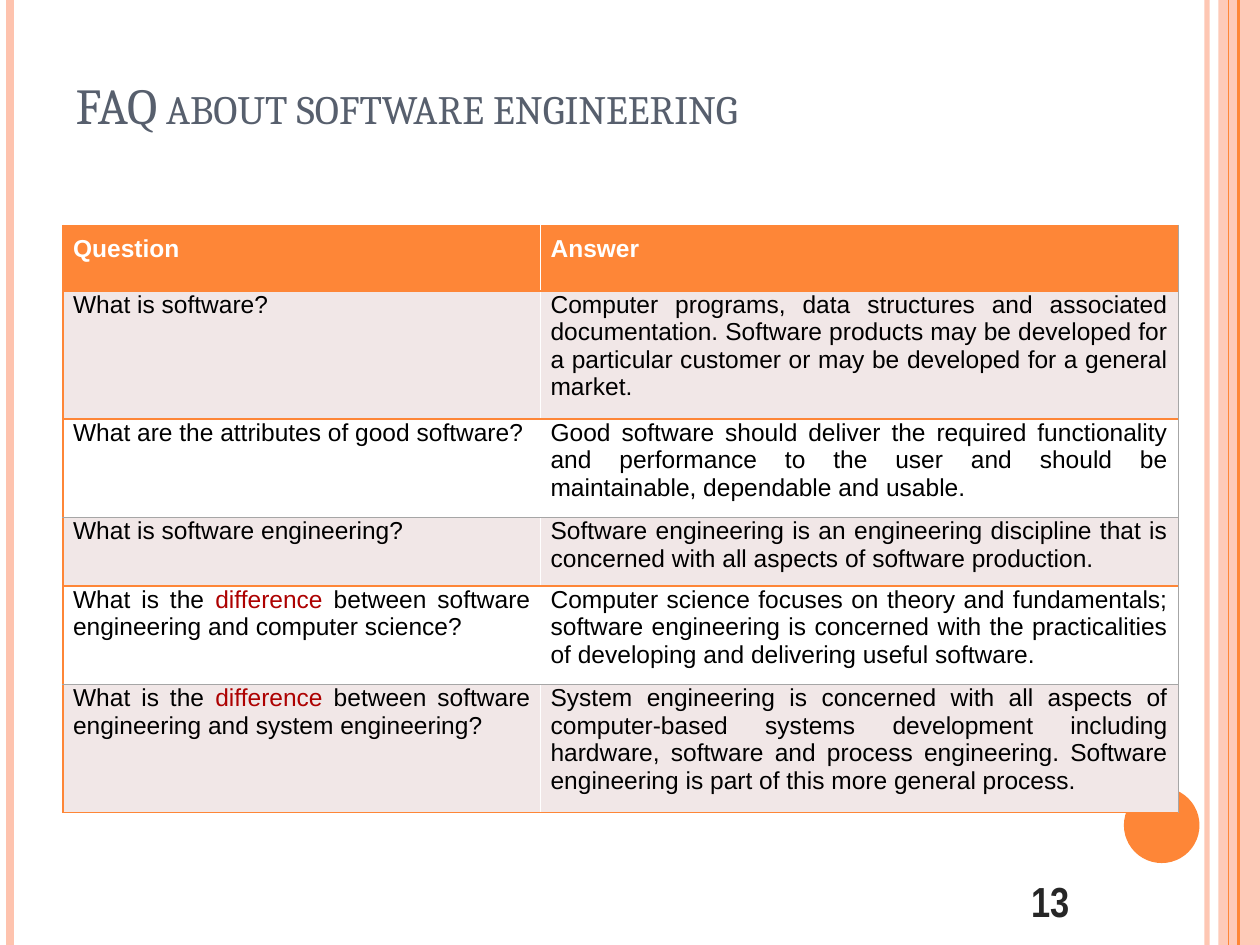
from lxml import etree
from pptx import Presentation
from pptx.dml.color import RGBColor
from pptx.enum.shapes import MSO_CONNECTOR, MSO_SHAPE
from pptx.enum.text import MSO_ANCHOR, PP_ALIGN
from pptx.oxml.ns import qn
from pptx.util import Inches, Pt

STRAIGHT = MSO_CONNECTOR.STRAIGHT
RECTANGLE, OVAL = MSO_SHAPE.RECTANGLE, MSO_SHAPE.OVAL
TOP, MIDDLE, BOTTOM = MSO_ANCHOR.TOP, MSO_ANCHOR.MIDDLE, MSO_ANCHOR.BOTTOM
CENTER, JUSTIFY = PP_ALIGN.CENTER, PP_ALIGN.JUSTIFY

COLORS = {
    "orange": "FE8637", "peach": "FEC3AE", "title": "575F6D", "number": "262626",
    "white": "FFFFFF", "band": "F1E7E7", "black": "000000", "red": "AD0101",
    "grey": "A6A6A6",
}

# Content
TITLE = "FAQ about software engineering"
PAGE_NUMBER = "13"
HIGHLIGHT = "difference"
FAQ = [
    ("Question", "Answer"),
    ("What is software?",
     "Computer programs, data structures and associated documentation. Software "
     "products may be developed for a particular customer or may be developed for "
     "a general market."),
    ("What are the attributes of good software?",
     "Good software should deliver the required functionality and performance to "
     "the user and should be maintainable, dependable and usable."),
    ("What is software engineering?",
     "Software engineering is an engineering discipline that is concerned with all "
     "aspects of software production."),
    ("What is the difference between software engineering and computer science?",
     "Computer science focuses on theory and fundamentals; software engineering is "
     "concerned with the practicalities of developing and delivering useful software."),
    ("What is the difference between software engineering and system engineering?",
     "System engineering is concerned with all aspects of computer-based systems "
     "development including hardware, software and process engineering. Software "
     "engineering is part of this more general process."),
]
COLUMN_WIDTHS = [3.79, 5.06]
ROW_HEIGHTS = [0.52, 1.01, 0.78, 0.54, 0.78, 1.01]
# Color and width of the rule above each row, then below the last one
ORANGE_RULE, GREY_RULE = ("orange", 1), ("grey", 0.5)
RULES = [ORANGE_RULE, ORANGE_RULE, ORANGE_RULE, GREY_RULE,
         ORANGE_RULE, GREY_RULE, ORANGE_RULE]
# x, color, width in points, opacity in percent
STRIPES = [(9.58, "peach", 3, 93), (0.08, "peach", 4.5, 100),
           (9.83, "orange", 1.5, 100), (9.75, "orange", 0.75, 100)]


def rgb(name):
    return RGBColor.from_string(COLORS[name])


def set_opacity(element, percent):
    if percent < 100:
        color = next(element.iter(qn("a:srgbClr")))
        etree.SubElement(color, qn("a:alpha"), val=str(percent * 1000))


def style_font(font, name, size, color, bold=False):
    font.name, font.size, font.bold = name, Pt(size), bold
    font.color.rgb = rgb(color)


def add_stripe(slide, x, color, width, opacity):
    stripe = slide.shapes.add_connector(
        STRAIGHT, Inches(x), 0, Inches(x), Inches(7.5))
    stripe.line.color.rgb = rgb(color)
    stripe.line.width = Pt(width)
    properties = stripe.line._get_or_add_ln().getparent()
    set_opacity(properties, opacity)
    etree.SubElement(properties, qn("a:effectLst"))


def add_solid(slide, preset, box, color, opacity=100):
    solid = slide.shapes.add_shape(preset, *map(Inches, box))
    solid.shadow.inherit = False
    solid.fill.solid()
    solid.fill.fore_color.rgb = rgb(color)
    solid.line.fill.background()
    set_opacity(solid._element.spPr, opacity)


def add_border(cell, side, color, width):
    properties = cell._tc.get_or_add_tcPr()
    border = etree.SubElement(properties, qn(f"a:ln{side}"), w=str(Pt(width)))
    fill = etree.SubElement(border, qn("a:solidFill"))
    etree.SubElement(fill, qn("a:srgbClr"), val=COLORS[color])


def fill_cell(cell, text, row, column):
    # Borders come before the fill in the cell properties
    side = ("L", *ORANGE_RULE) if column == 0 else ("R", *GREY_RULE)
    for border in (side, ("T", *RULES[row]), ("B", *RULES[row + 1])):
        add_border(cell, *border)
    header = row == 0
    cell.fill.solid()
    cell.fill.fore_color.rgb = rgb(
        "orange" if header else "band" if row % 2 else "white")
    cell.vertical_anchor = TOP
    cell.margin_left = cell.margin_right = cell.margin_bottom = Inches(0.08)
    cell.margin_top = Inches(0.08 if header else 0)

    paragraph = cell.text_frame.paragraphs[0]
    paragraph.alignment = JUSTIFY
    style_font(paragraph.font, "Arial", 14, "white" if header else "black", header)
    before, highlight, after = text.partition(HIGHLIGHT)
    for part in filter(None, (before, highlight, after)):
        run = paragraph.add_run()
        run.text = part
        if part == HIGHLIGHT:
            run.font.color.rgb = rgb("red")


def main():
    deck = Presentation()
    deck.slide_width, deck.slide_height = Inches(10), Inches(7.5)
    slide = deck.slides.add_slide(deck.slide_layouts[5])

    # Side decoration
    add_solid(slide, RECTANGLE, (9.67, 0, 0.33, 7.5), "peach", 87)
    for stripe in STRIPES:
        add_stripe(slide, *stripe)
    add_solid(slide, OVAL, (8.92, 6.25, 0.6, 0.6), "orange")

    # Title
    title = slide.shapes.title
    title.left, title.top = Inches(0.5), Inches(0.5)
    title.width, title.height = Inches(9.08), Inches(1.09)
    title.text = TITLE
    title.text_frame.vertical_anchor = BOTTOM
    title.text_frame.margin_bottom = Inches(0.52)
    heading = title.text_frame.paragraphs[0]
    heading.alignment = PP_ALIGN.LEFT
    style_font(heading.font, "Cambria", 28.8, "title")
    heading.runs[0]._r.get_or_add_rPr().set("cap", "small")

    # Page number
    number = slide.shapes.add_textbox(
        Inches(7.17), Inches(6.95), Inches(2.33), Inches(0.4)).text_frame
    number.word_wrap = True
    number.vertical_anchor = MIDDLE
    number.text = PAGE_NUMBER
    number.paragraphs[0].alignment = CENTER
    style_font(number.paragraphs[0].font, "Arial Narrow", 24, "number", True)

    # Questions and answers
    table = slide.shapes.add_table(
        len(FAQ), len(COLUMN_WIDTHS), Inches(0.5), Inches(1.79),
        Inches(sum(COLUMN_WIDTHS)), Inches(sum(ROW_HEIGHTS))).table
    for column, width in zip(table.columns, COLUMN_WIDTHS):
        column.width = Inches(width)
    for row, height in zip(table.rows, ROW_HEIGHTS):
        row.height = Inches(height)
    for r, entry in enumerate(FAQ):
        for c, text in enumerate(entry):
            fill_cell(table.cell(r, c), text, r, c)

    deck.save("out.pptx")


if __name__ == "__main__":
    main()
